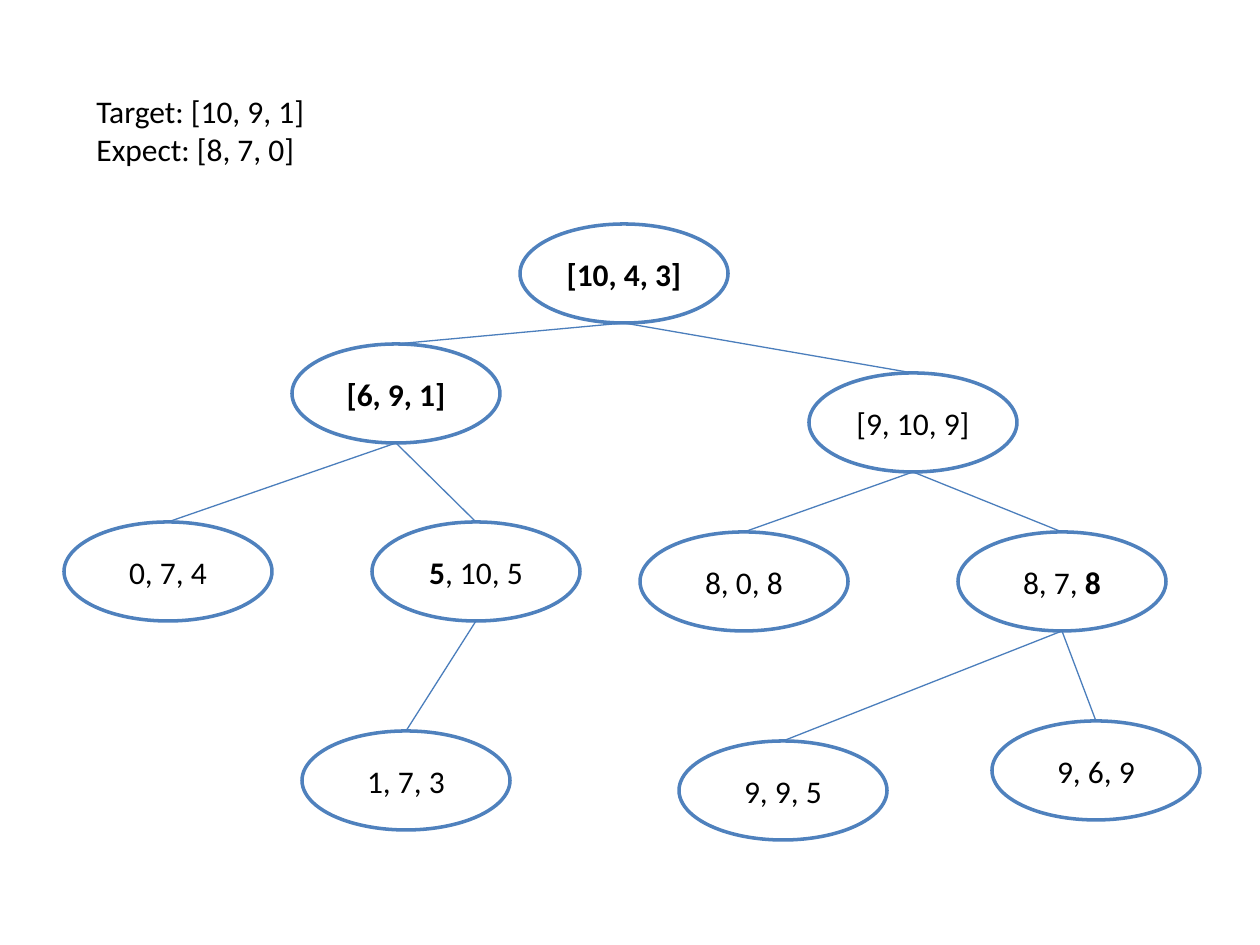
from pptx import Presentation
from pptx import util as u
from pptx.dml.color import RGBColor
from pptx.enum import shapes, text
from pptx.oxml.ns import qn
from lxml import etree

PX = u.Inches(1) / 126
NODE_W, NODE_H = 208, 99
BLACK = RGBColor(0x00, 0x00, 0x00)
WHITE = RGBColor(0xFF, 0xFF, 0xFF)
OUTLINE = RGBColor(0x4F, 0x81, 0xBD)
EDGE = RGBColor(0x4B, 0x7E, 0xBC)

NODES = {
    "root": (520, 224, [("[10, 4, 3]", True)]),
    "left": (292, 344, [("[6, 9, 1]", True)]),
    "right": (809, 373, [("[9, 10, 9]", False)]),
    "left_left": (64, 522, [("0, 7, 4", False)]),
    "left_right": (372, 522, [("5", True), (", 10, 5", False)]),
    "right_left": (640, 532, [("8, 0, 8", False)]),
    "right_right": (958, 532, [("8, 7, ", False), ("8", True)]),
    "leaf_a": (302, 731, [("1, 7, 3", False)]),
    "leaf_b": (679, 741, [("9, 9, 5", False)]),
    "leaf_c": (992, 721, [("9, 6, 9", False)]),
}
EDGES = [
    ("root", "left"), ("left", "left_left"), ("left", "left_right"),
    ("right", "right_left"), ("right", "right_right"), ("root", "right"),
    ("left_right", "leaf_a"), ("right_right", "leaf_b"),
    ("right_right", "leaf_c"),
]


def emu(*lengths):
    return [u.Emu(round(n * PX)) for n in lengths]


def add_runs(p, runs):
    for content, bold in runs:
        r = p.add_run()
        r.text = content
        r.font.name = "Calibri"
        r.font.size = u.Pt(18)
        r.font.bold = bold
        r.font.color.rgb = BLACK


def add_node(grp, x, y, runs):
    sp = grp.shapes.add_shape(shapes.MSO_SHAPE.OVAL, *emu(x, y, NODE_W, NODE_H))
    sp.shadow.inherit = False
    sp.fill.solid()
    sp.fill.fore_color.rgb = WHITE
    sp.line.color.rgb = OUTLINE
    sp.line.width = u.Pt(2)
    tf = sp.text_frame
    tf.word_wrap = True
    tf.vertical_anchor = text.MSO_ANCHOR.MIDDLE
    p = tf.paragraphs[0]
    p.alignment = text.PP_ALIGN.CENTER
    add_runs(p, runs)


def add_edge(grp, parent, child):
    x1, y1, _ = NODES[parent]
    x2, y2, _ = NODES[child]
    ends = emu(x1 + NODE_W / 2, y1 + NODE_H, x2 + NODE_W / 2, y2)
    cxn = grp.shapes.add_connector(shapes.MSO_CONNECTOR.STRAIGHT, *ends)
    cxn.line.color.rgb = EDGE
    cxn.line.width = u.Pt(0.75)
    etree.SubElement(cxn._element.spPr, qn("a:effectLst"))


def add_text(s, x, y, w, h, lines):
    tf = s.shapes.add_textbox(*emu(x, y, w, h)).text_frame
    tf.word_wrap = True
    tf.auto_size = text.MSO_AUTO_SIZE.SHAPE_TO_FIT_TEXT
    for i, line in enumerate(lines):
        p = tf.add_paragraph() if i else tf.paragraphs[0]
        add_runs(p, [(line, False)])


def main():
    prs = Presentation()
    prs.slide_width, prs.slide_height = emu(1260, 945)
    s = prs.slides.add_slide(prs.slide_layouts[6])
    tree = s.shapes.add_group_shape()
    for x, y, runs in NODES.values():
        add_node(tree, x, y, runs)
    for parent, child in EDGES:
        add_edge(tree, parent, child)
    add_text(s, 84, 86, 496, 89, ["Target: [10, 9, 1]", "Expect: [8, 7, 0]"])
    prs.save("out.pptx")


main()
